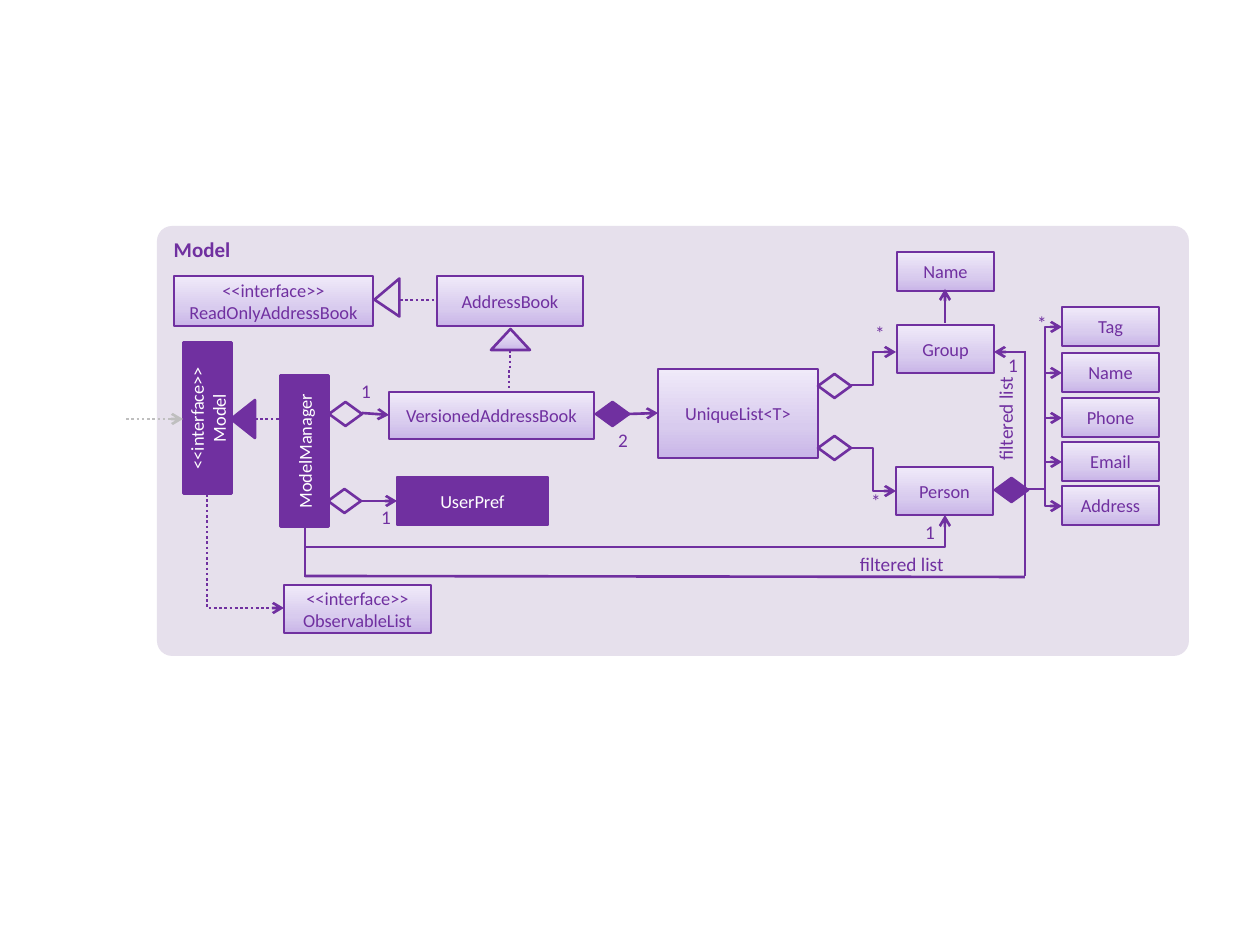
from copy import deepcopy
from lxml import etree
from pptx import Presentation
from pptx.dml.color import RGBColor as RGB
from pptx.enum.dml import MSO_LINE as DASH
from pptx.enum.shapes import MSO_CONNECTOR as CONN, MSO_SHAPE as SHAPE
from pptx.enum.text import MSO_ANCHOR as ANCHOR, MSO_AUTO_SIZE as AUTO, PP_ALIGN as ALIGN
from pptx.oxml.ns import qn
from pptx.util import Emu, Pt

PX = 914400 / 126
COLORS = {"panel": "E6E0EC", "purple": "7030A0", "white": "FFFFFF", "gray": "BFBFBF"}
RGBS = {name: RGB.from_string(value) for name, value in COLORS.items()}
GRADIENT = [(0, "C9B5E8"), (0.35, "D8CBEE"), (1, "F0EAF9")]

prs = Presentation()
prs.slide_width, prs.slide_height = Emu(9144000), Emu(6858000)
s = prs.slides.add_slide(prs.slide_layouts[6])


def add_node(kind, box, fill=None, text="", rot=0, size=10.5, color="purple",
             align=ALIGN.CENTER, line=True):
    """Text: newline starts a paragraph, | breaks a line. Kind None is a text box."""
    pos = [Emu(round(v * PX)) for v in box]
    sp = s.shapes.add_textbox(*pos) if kind is None else s.shapes.add_shape(kind, *pos)
    sp.rotation = rot
    if kind is not None:
        sp.shadow.inherit = False
        if fill == "gradient":
            sp.fill.gradient()
            sp.fill.gradient_angle = 90
            stops = sp._element.spPr.find(".//" + qn("a:gsLst"))
            stops.insert(1, deepcopy(stops[0]))
            for stop, (place, value) in zip(sp.fill.gradient_stops, GRADIENT):
                stop.position, stop.color.rgb = place, RGB.from_string(value)
        elif fill:
            sp.fill.solid()
            sp.fill.fore_color.rgb = RGBS[fill]
        else:
            sp.fill.background()
        if line:
            sp.line.color.rgb, sp.line.width = RGBS["purple"], Pt(1.5)
        else:
            sp.line.fill.background()
    tf = sp.text_frame
    tf.word_wrap = True
    tf.vertical_anchor = ANCHOR.TOP if kind is None else ANCHOR.MIDDLE
    for i, paragraph in enumerate(text.split("\n") if text else []):
        p = tf.add_paragraph() if i else tf.paragraphs[0]
        p.alignment = align
        for j, part in enumerate(paragraph.split("|")):
            if j:
                p.add_line_break()
            r = p.add_run()
            r.text = part
            r.font.size, r.font.name = Pt(size), "Calibri"
            r.font.color.rgb = RGBS[color]
    return sp


def add_link(x1, y1, x2, y2, bend=None, upright=False, arrow=True, dotted=False,
             color="purple"):
    """Bend is where an elbow turns; an upright elbow leaves its start vertically."""
    start, end = (y1, y2) if upright else (x1, x2)
    if upright:
        cx, cy = (x1 + x2) / 2, (y1 + y2) / 2
        x1, y1, x2, y2 = cx + y1 - cy, cy - x1 + cx, cx + y2 - cy, cy - x2 + cx
    kind = CONN.STRAIGHT if bend is None else CONN.ELBOW
    c = s.shapes.add_connector(kind, *[Emu(round(v * PX)) for v in (x1, y1, x2, y2)])
    c.line.color.rgb, c.line.width = RGBS[color], Pt(1.5)
    if dotted:
        c.line.dash_style = DASH.ROUND_DOT
    spPr = c._element.spPr
    if arrow:
        etree.SubElement(c.line._get_or_add_ln(), qn("a:tailEnd"), type="arrow")
    etree.SubElement(spPr, qn("a:effectLst"))
    if upright:
        spPr.find(qn("a:xfrm")).set("rot", "5400000")
    if bend is not None:
        ratio = round((bend - start) / (end - start) * 100000)
        guides = spPr.find(qn("a:prstGeom")).find(qn("a:avLst"))
        etree.SubElement(guides, qn("a:gd"), name="adj1", fmla=f"val {ratio}")


# Panel with its title
panel = add_node(SHAPE.ROUNDED_RECTANGLE, (157, 226, 1032, 430), "panel", "Model",
                 size=12, align=ALIGN.LEFT, line=False)
panel.adjustments[0] = 0.035
panel.text_frame.vertical_anchor = ANCHOR.TOP
panel.text_frame.paragraphs[0].runs[0].font.bold = True

# Solid boxes
for text, box, rot in [
    ("UserPref", (397, 477, 151, 48), 0),
    ("ModelManager", (229, 427, 151, 48), 270),
    ("<<interface>>\nModel", (132, 394, 151, 48), 270),
]:
    add_node(SHAPE.RECTANGLE, box, "purple", text, rot, color="white")

# Gradient boxes
for text, box in [
    ("VersionedAddressBook", (389, 392, 205, 47)),
    ("UniqueList<T>", (658, 369, 160, 89)),
    ("Person", (896, 467, 97, 48)),
    ("Group", (897, 325, 97, 48)),
    ("Name", (897, 252, 97, 39)),
    ("<<interface>>|ReadOnlyAddressBook", (174, 276, 199, 50)),
    ("AddressBook", (437, 276, 146, 50)),
    ("<<interface>>|ObservableList", (284, 585, 147, 48)),
]:
    add_node(SHAPE.RECTANGLE, box, "gradient", text)

# Attributes of a person, each joined to the filled diamond
for text, y in [("Tag", 307), ("Name", 353), ("Phone", 398), ("Email", 442), ("Address", 486)]:
    add_node(SHAPE.RECTANGLE, (1062, y, 97, 39), "gradient", text)
    add_link(1028, 489, 1062, y + 20, bend=1045)

# Aggregation and composition diamonds
for x, y, fill in [(328, 489, None), (329, 402, None), (596, 402, "purple"),
                   (818, 436, None), (818, 374, None), (995, 478, "purple")]:
    add_node(SHAPE.FLOWCHART_DECISION, (x, y, 33, 24), fill)

# Inheritance triangles
add_node(SHAPE.ISOSCELES_TRIANGLE, (224, 407, 38, 24), "purple", rot=270)
add_node(SHAPE.ISOSCELES_TRIANGLE, (491, 329, 39, 21), "gradient")
head = add_node(SHAPE.ISOSCELES_TRIANGLE, (368, 285, 38, 25), "panel", rot=270)
head.adjustments[0] = 0.445

# Dotted links
add_link(126, 419, 183, 419, dotted=True, color="gray")
add_link(255, 419, 285, 419, dotted=True, arrow=False)
add_link(400, 300, 437, 300, dotted=True, arrow=False)
add_link(510, 350, 509, 391, bend=370, upright=True, dotted=True, arrow=False)
add_link(207, 494, 284, 608, bend=608, upright=True, dotted=True)

# Straight arrows
for ends in [(359, 501, 397, 501), (362, 413, 389, 415), (629, 414, 658, 413),
             (945, 323, 945, 289), (1025, 352, 994, 352)]:
    add_link(*ends)

# Elbow arrows
add_link(851, 448, 896, 491, bend=873)
add_link(851, 385, 896, 352, bend=873)
add_link(305, 527, 945, 515, bend=547, upright=True)

# Route from ModelManager to Group
for ends in [(1025, 351, 1025, 576), (1025, 577, 305, 576), (305, 530, 305, 577)]:
    add_link(*ends, arrow=False)

# Captions of the filtered lists
for box, rot in [((835, 546, 121, 36), 0), ((945, 407, 121, 36), 270)]:
    caption = add_node(None, box, text="filtered list", rot=rot, size=11, align=ALIGN.RIGHT)
    caption.text_frame.auto_size = AUTO.SHAPE_TO_FIT_TEXT

# Multiplicities
for text, box in [
    ("2", (610, 428, 26, 25)), ("*", (863, 492 - 28, 26, 48)), ("1", (354, 379, 24, 19)),
    ("1", (373, 505, 26, 25)), ("1", (917, 520, 26, 25)), ("*", (1029, 311, 26, 25)),
    ("*", (867, 296, 26, 48)), ("1", (1000, 353, 26, 25)),
]:
    tf = add_node(None, box, text=text, size=11).text_frame
    tf.margin_left = tf.margin_right = tf.margin_top = tf.margin_bottom = 0
    if box[3] == 48:
        tf.vertical_anchor = ANCHOR.BOTTOM

prs.save("out.pptx")
